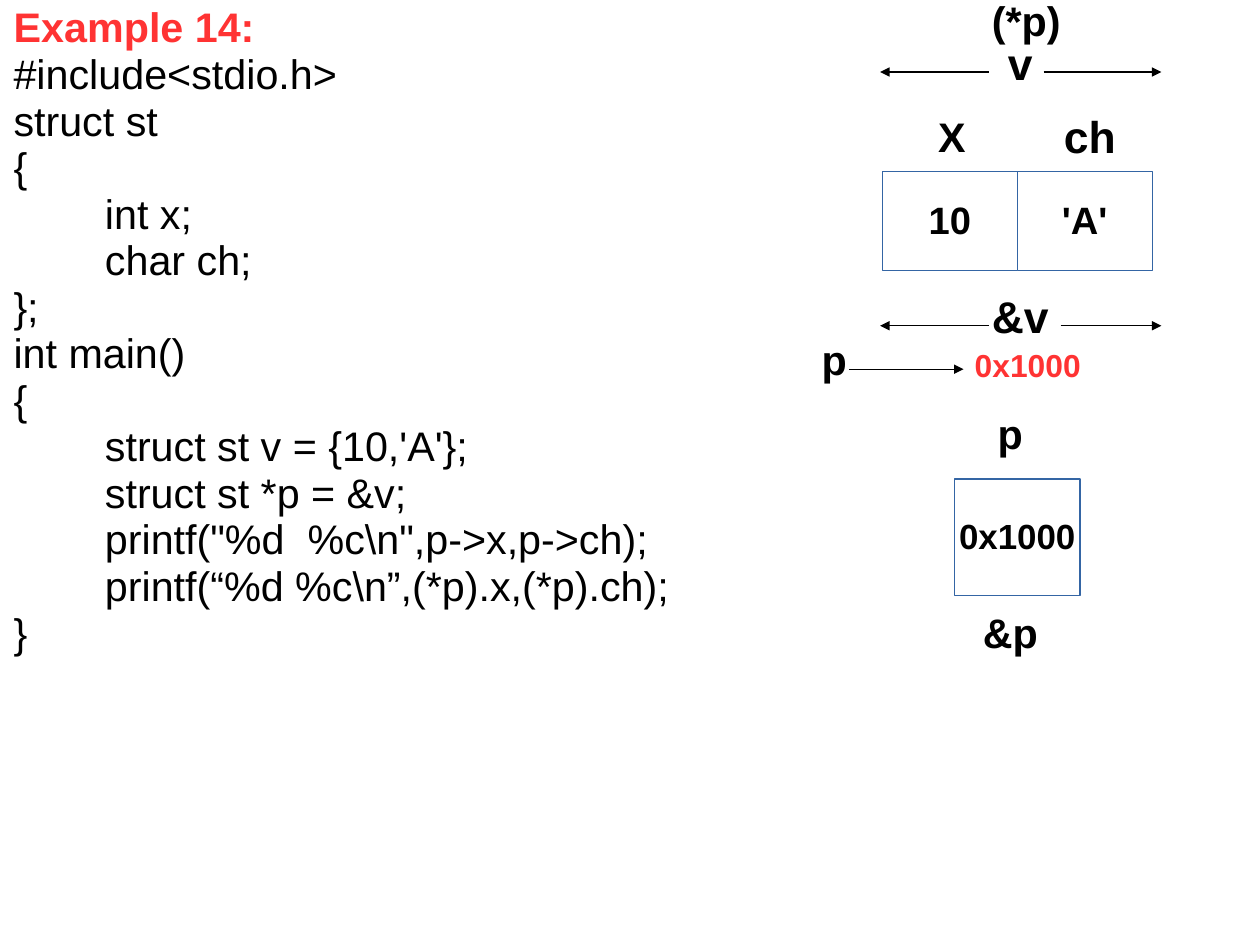
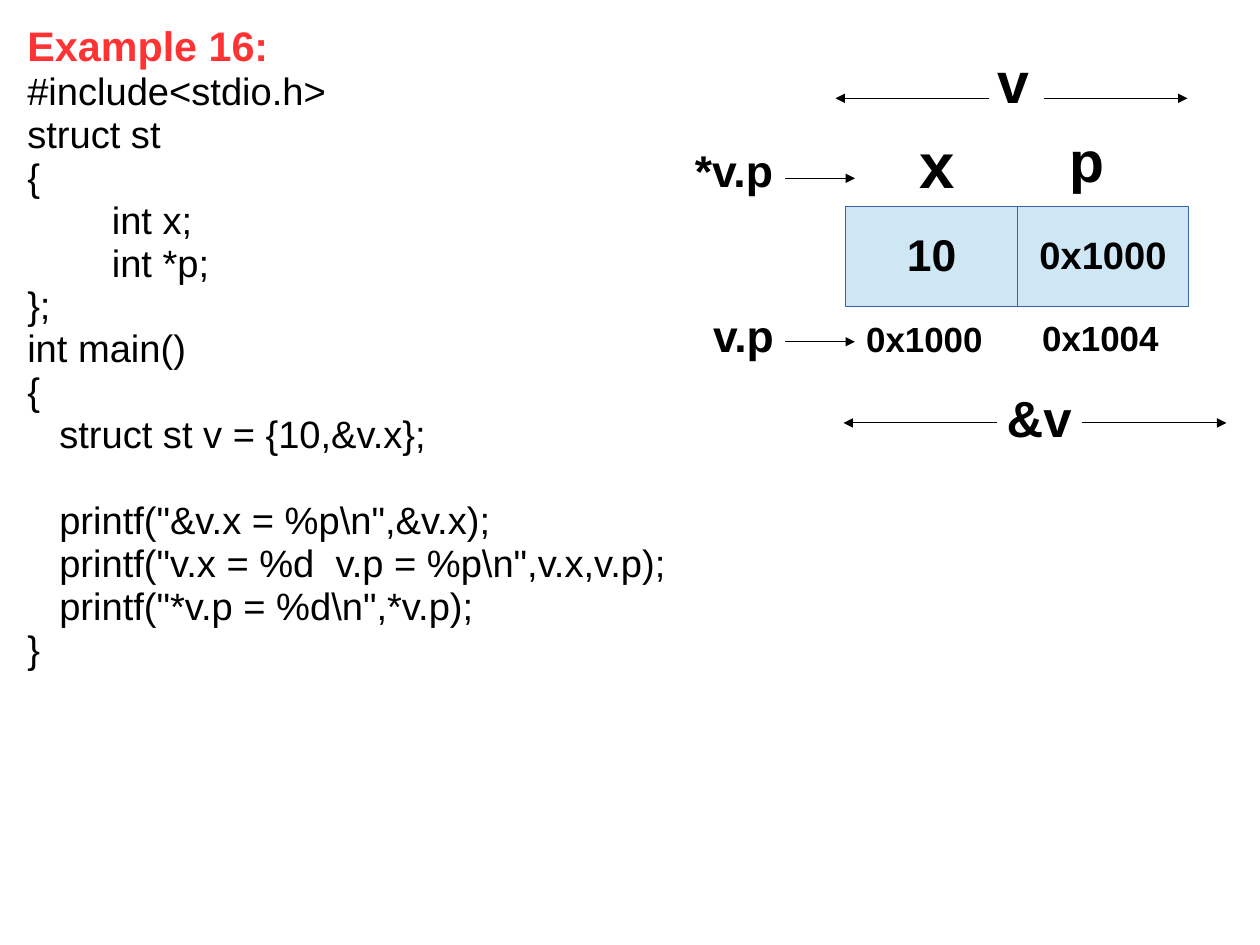
from pptx import Presentation
from pptx.dml.color import RGBColor
from pptx.enum.shapes import MSO_CONNECTOR, MSO_SHAPE
from pptx.enum.text import MSO_ANCHOR, MSO_AUTO_SIZE, PP_ALIGN
from pptx.oxml.ns import qn
from pptx.util import Inches, Pt
from lxml import etree

STRAIGHT = MSO_CONNECTOR.STRAIGHT
RECT = MSO_SHAPE.RECTANGLE
TOP, MIDDLE = MSO_ANCHOR.TOP, MSO_ANCHOR.MIDDLE
NO_FIT = MSO_AUTO_SIZE.NONE
LEFT, CENTER = PP_ALIGN.LEFT, PP_ALIGN.CENTER

# The page is 28 by 21 cm.
CM_PER_INCH = 2.54
SLIDE_W, SLIDE_H = Inches(28 / CM_PER_INCH), Inches(21 / CM_PER_INCH)

FONT = "Arial"
BLACK, RED, WHITE = "000000", "FF3333", "FFFFFF"
BORDER, PALE_BLUE = "3465A4", "CFE7F5"
LINE_WIDTH = Pt(0.74)
LINE_SPACING = 0.94
TITLE_SIZE = 26
TITLE_LINE = 0.41
CELL_H = 0.87

# Each code line is (indent level, text); an empty text leaves a one-line gap.
CODE_14 = [
    (0, "#include<stdio.h>"),
    (0, "struct st"),
    (0, "{"),
    (1, "int x;"),
    (1, "char ch;"),
    (0, "};"),
    (0, "int main()"),
    (0, "{"),
    (1, "struct st v = {10,'A'};"),
    (1, "struct st *p = &v;"),
    (1, 'printf("%d  %c\\n",p->x,p->ch);'),
    (1, "printf(“%d %c\\n”,(*p).x,(*p).ch);"),
    (0, "}"),
]
CODE_16 = [
    (0, "#include<stdio.h>"),
    (0, "struct st"),
    (0, "{"),
    (1, "int x;"),
    (1, "int *p;"),
    (0, "};"),
    (0, "int main()"),
    (0, "{"),
    (2, "struct st v = {10,&v.x};"),
    (0, ""),
    (2, 'printf("&v.x = %p\\n",&v.x);'),
    (2, 'printf("v.x = %d  v.p = %p\\n",v.x,v.p);'),
    (2, 'printf("*v.p = %d\\n",*v.p);'),
    (0, "}"),
]


def rgb(color):
    """Turn a hex string into a colour."""
    return RGBColor.from_string(color)


def format_paragraph(p, size, color=BLACK, bold=True, align=LEFT):
    """Apply the shared font and line spacing to a paragraph."""
    p.alignment = align
    p.line_spacing = LINE_SPACING
    for r in p.runs:
        r.font.name = FONT
        r.font.size = Pt(size)
        r.font.bold = bold
        r.font.color.rgb = rgb(color)


def set_frame(tf, anchor=TOP, wrap=False):
    """Set the anchor, wrapping and insets of a text frame."""
    tf.word_wrap = wrap
    tf.auto_size = NO_FIT
    tf.vertical_anchor = anchor
    tf.margin_left = tf.margin_right = Inches(0.1)
    tf.margin_top = tf.margin_bottom = Inches(0.05)


def add_title(s, text, x, y):
    """Place the red heading in the title placeholder."""
    sp = s.shapes.title
    sp.left, sp.top = Inches(x), Inches(y)
    sp.width, sp.height = Inches(6), Inches(0.53)
    set_frame(sp.text_frame, wrap=True)
    sp.text_frame.text = text
    format_paragraph(sp.text_frame.paragraphs[0], TITLE_SIZE, RED)


def add_code(s, lines, x, y, w, size, indents):
    """Add a code listing, indented by level."""
    pitch = size * 1.13
    sp = s.shapes.add_textbox(Inches(x), Inches(y), Inches(w),
                              Pt(pitch * len(lines) + 8))
    tf = sp.text_frame
    set_frame(tf, wrap=True)
    p, gap = tf.paragraphs[0], 0
    for i, (level, text) in enumerate(lines):
        if not text:
            gap = pitch
            continue
        if i:
            p = tf.add_paragraph()
        p.text = text
        p.space_before = Pt(gap)
        format_paragraph(p, size, bold=False)
        pPr = p._p.get_or_add_pPr()
        pPr.set("marL", str(Inches(indents[level])))
        pPr.set("indent", "0")
        gap = 0


def add_label(s, text, x, y, w, size, color=BLACK):
    """Add a bold one-line label; its height follows the font size."""
    sp = s.shapes.add_textbox(Inches(x), Inches(y), Inches(w),
                              Inches(size / 60 + 0.1))
    set_frame(sp.text_frame)
    sp.text_frame.text = text
    format_paragraph(sp.text_frame.paragraphs[0], size, color)


def add_cell(s, text, x, y, w, h, size, fill):
    """Add a bordered memory cell with a centred value."""
    sp = s.shapes.add_shape(RECT, Inches(x), Inches(y), Inches(w), Inches(h))
    sp.shadow.inherit = False
    sp.fill.solid()
    sp.fill.fore_color.rgb = rgb(fill)
    sp.line.color.rgb = rgb(BORDER)
    sp.line.width = LINE_WIDTH
    set_frame(sp.text_frame, MIDDLE)
    sp.text_frame.text = text
    format_paragraph(sp.text_frame.paragraphs[0], size, align=CENTER)


def add_struct(s, values, x, y, w, fill):
    """Add adjoining cells, one for each (value, size) member."""
    for i, (text, size) in enumerate(values):
        add_cell(s, text, x + i * w, y, w, CELL_H, size, fill)


def add_arrow(s, x1, x2, y):
    """Add a horizontal arrow pointing at x2."""
    line = s.shapes.add_connector(STRAIGHT, Inches(x1), Inches(y),
                                  Inches(x2), Inches(y))
    line.line.color.rgb = rgb(BLACK)
    line.line.width = LINE_WIDTH
    spPr = line._element.spPr
    etree.SubElement(spPr.find(qn("a:ln")), qn("a:tailEnd"), type="triangle")
    etree.SubElement(spPr, qn("a:effectLst"))


def add_span(s, y, left, gap_left, gap_right, right):
    """Add two arrows pointing outwards from a gap."""
    add_arrow(s, gap_right, right, y)
    add_arrow(s, gap_left, left, y)


def example_14(s):
    """Build the struct reached through a pointer."""
    add_title(s, "Example 14:", 0.02, 0)
    add_code(s, CODE_14, 0.02, TITLE_LINE, 6.83, 26, (0, 0.8))
    add_struct(s, [("10", 24), ("'A'", 24)], 7.72, 1.5, 1.18, WHITE)
    add_cell(s, "0x1000", 8.35, 4.19, 1.1, 1.02, 22, WHITE)
    add_span(s, 0.63, 7.7, 8.65, 9.13, 10.16)
    add_span(s, 2.85, 7.7, 8.65, 9.28, 10.16)
    add_arrow(s, 7.43, 8.43, 3.23)
    for text, x, y, w, size in [
        ("(*p)", 8.58, -0.06, 0.8, 26),
        ("v", 8.72, 0.3, 0.41, 28),
        ("X", 8.11, 0.96, 0.44, 26),
        ("ch", 9.21, 0.94, 0.65, 28),
        ("&v", 8.58, 2.52, 0.69, 28),
        ("p", 7.09, 2.91, 0.42, 26),
        ("p", 8.63, 3.56, 0.42, 26),
        ("&p", 8.5, 5.3, 0.68, 26),
    ]:
        add_label(s, text, x, y, w, size)
    add_label(s, "0x1000", 8.43, 3, 1.13, 20, RED)


def example_16(s):
    """Build the struct that holds a pointer to its own member."""
    add_title(s, "Example 16:", 0.14, 0.16)
    add_code(s, CODE_16, 0.14, 0.16 + TITLE_LINE, 6.32, 24, (0, 0.74, 0.28))
    add_struct(s, [("10", 28), ("0x1000", 24)], 7.4, 1.81, 1.5, PALE_BLUE)
    add_span(s, 0.86, 7.31, 8.65, 9.13, 10.39)
    add_span(s, 3.7, 7.38, 8.72, 9.47, 10.73)
    for y in (1.56, 2.99):
        add_arrow(s, 6.87, 7.48, y)
    for text, x, y, w, size in [
        ("v", 8.63, 0.41, 0.48, 36),
        ("x", 7.95, 1.1, 0.51, 40),
        ("p", 9.26, 1.1, 0.5, 36),
        ("*v.p", 5.98, 1.24, 0.88, 28),
        ("v.p", 6.14, 2.68, 0.73, 28),
        ("0x1000", 7.48, 2.76, 1.22, 22),
        ("0x1004", 9.02, 2.75, 1.22, 22),
        ("&v", 8.71, 3.38, 0.77, 32),
    ]:
        add_label(s, text, x, y, w, size)


def main():
    """Build both example slides and save them."""
    prs = Presentation()
    prs.slide_width, prs.slide_height = SLIDE_W, SLIDE_H
    for build in (example_14, example_16):
        build(prs.slides.add_slide(prs.slide_layouts[5]))
    prs.save("out.pptx")


main()
